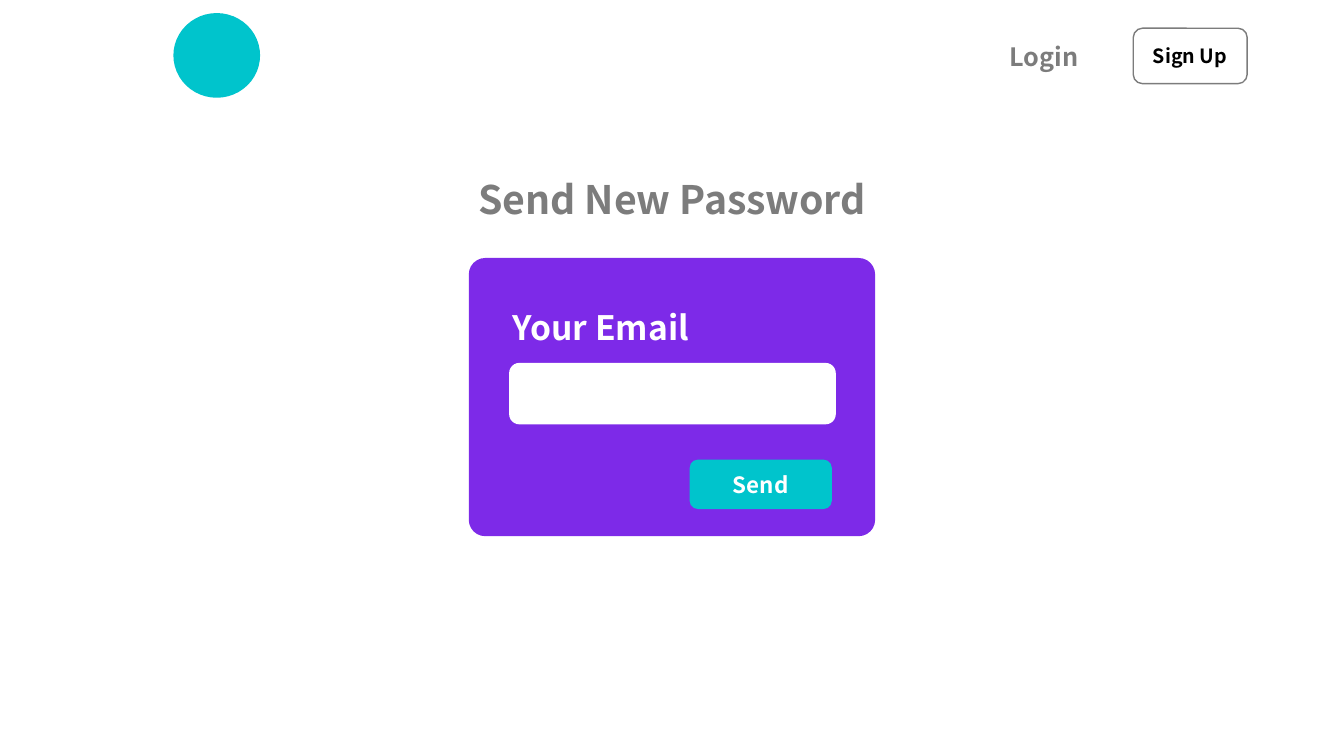
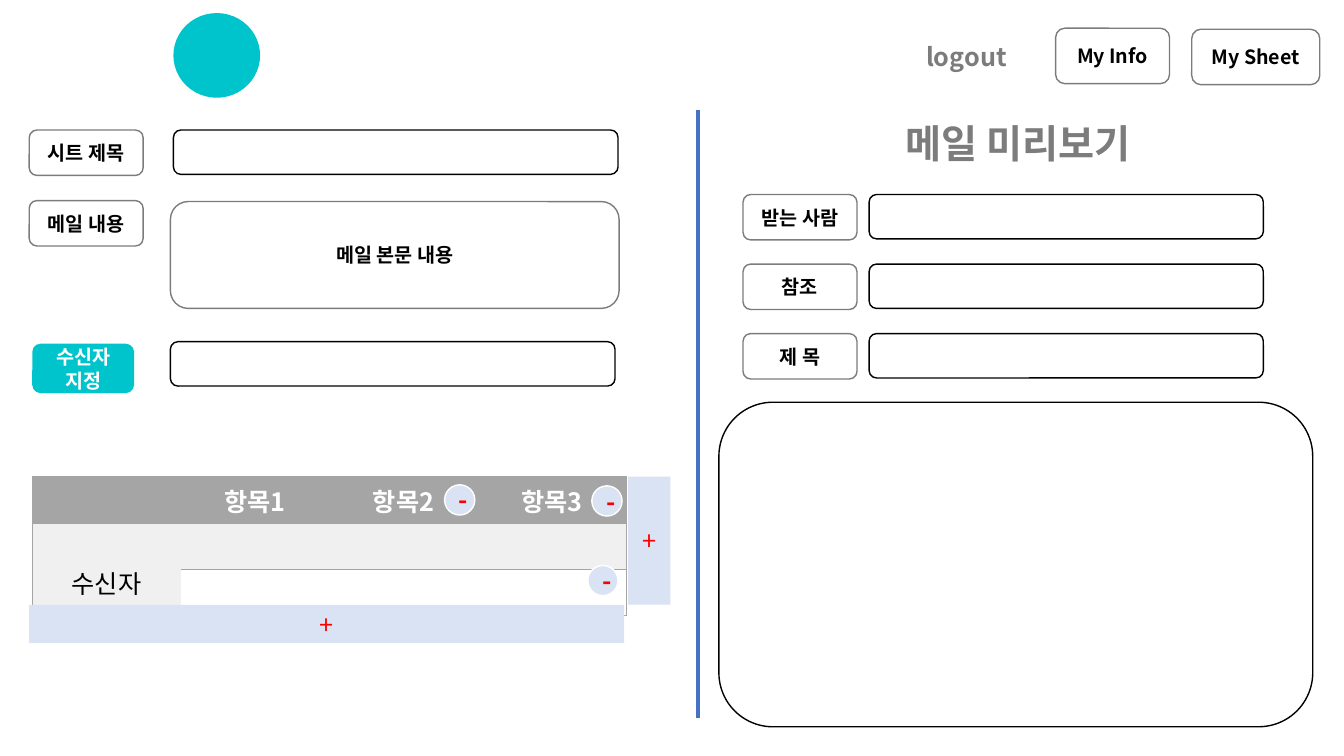
import pptx
import pptx.util
import pptx.dml.color
import pptx.enum.shapes
import pptx.enum.text
import pptx.oxml.ns
import lxml.etree

Inches = pptx.util.Inches
Pt = pptx.util.Pt
SHAPE = pptx.enum.shapes.MSO_SHAPE
MIDDLE = pptx.enum.text.MSO_ANCHOR.MIDDLE
CENTER = pptx.enum.text.PP_ALIGN.CENTER
qn = pptx.oxml.ns.qn

COLORS = {
    "teal": "00C4CC", "purple": "7D2AE8", "gray": "7C7C7C", "white": "FFFFFF",
    "black": "000000", "blue": "4472C4", "pale": "DAE3F3", "red": "FF0000",
    "head": "A5A5A5", "band": "F0F0F0",
}
FONT = "Noto Sans CJK KR"
ROUND = SHAPE.ROUNDED_RECTANGLE


def rgb(name):
    """Return the named colour."""
    return pptx.dml.color.RGBColor.from_string(COLORS[name])


def write(tf, text, size, color, bold=True):
    """Put one centred run into a text frame."""
    p = tf.paragraphs[0]
    p.alignment = CENTER
    r = p.add_run()
    r.text = text
    r.font.size = Pt(size)
    r.font.bold = bold
    r.font.color.rgb = rgb(color)
    r.font.name = FONT
    lxml.etree.SubElement(r.font._element, qn("a:ea"), typeface=FONT)


def add_box(s, kind, box, fill, line=None):
    """Add a flat shape, outlined when a line colour is given."""
    sp = s.shapes.add_shape(kind, *map(Inches, box))
    sp.shadow.inherit = False
    sp.fill.solid()
    sp.fill.fore_color.rgb = rgb(fill)
    if line:
        sp.line.color.rgb = rgb(line)
        sp.line.width = Pt(1)
    else:
        sp.line.fill.background()
    sp.text_frame.vertical_anchor = MIDDLE
    return sp


def add_label(s, box, text, size, color):
    """Add a bold centred line of free text."""
    tf = s.shapes.add_textbox(*map(Inches, box)).text_frame
    tf.word_wrap = True
    tf.vertical_anchor = MIDDLE
    write(tf, text, size, color)


def add_title(s, left, top, text):
    """Add the heading of a page or panel."""
    add_label(s, (left, top, 4.95, 0.63), text, 28, "gray")


def add_button(s, box, text):
    """Add a white button with a gray outline."""
    sp = add_box(s, ROUND, box, "white", "gray")
    write(sp.text_frame, text, 14, "black")


def add_action(s, box, text, size):
    """Add a teal action button."""
    sp = add_box(s, ROUND, box, "teal")
    write(sp.text_frame, text, size, "white")


def add_field(s, box):
    """Add an empty input field."""
    add_box(s, ROUND, box, "white", "black")


def add_tag(s, left, top, text):
    """Add the button that names a field."""
    add_button(s, (left, top, 1.13, 0.45), text)


def add_header(s, link_left, link, buttons):
    """Add the plain disc, the text link and the buttons of the top bar."""
    add_box(s, SHAPE.OVAL, (1.72, 0.13, 0.86, 0.84), "teal")
    add_label(s, (link_left, 0.25, 1.31, 0.63), link, 18, "gray")
    for left, top, width, text in buttons:
        add_button(s, (left, top, width, 0.55), text)


def add_email_card(s, box):
    """Add the purple card that asks for an email address."""
    x, y, w, h = box
    card = add_box(s, ROUND, box, "purple")
    card.adjustments[0] = 0.059
    add_box(s, ROUND, (x + 0.4, y + 1.04, w - 0.79, 0.61), "white")
    add_label(s, (x - 0.16, y + 0.37, 2.94, 0.63), "Your Email", 24, "white")
    add_action(s, (x + 2.19, y + 2, 1.41, 0.49), "Send", 16)


def add_sheet_form(s, x, y):
    """Add the fields for the sheet title, mail body and recipients."""
    add_tag(s, x, y, "시트 제목")
    add_field(s, (x + 1.43, y, 4.41, 0.44))
    add_tag(s, x, y + 0.7, "메일 내용")
    add_button(s, (x + 1.4, y + 0.71, 4.45, 1.06), "메일 본문 내용")
    add_action(s, (x + 0.03, y + 2.12, 1.01, 0.49), "수신자 지정", 14)
    add_field(s, (x + 1.4, y + 2.1, 4.41, 0.44))


def style_cell(cell, fill, sides):
    """Give a cell its borders and then its fill."""
    tcPr = cell._tc.get_or_add_tcPr()
    for side in sides:
        ln = lxml.etree.SubElement(tcPr, qn("a:ln" + side), w=str(Pt(1)))
        solid = lxml.etree.SubElement(ln, qn("a:solidFill"))
        lxml.etree.SubElement(solid, qn("a:srgbClr"), val=COLORS["head"])
    cell.fill.solid()
    cell.fill.fore_color.rgb = rgb(fill)


def add_recipient_table(s, box):
    """Add the recipient table with its plus bars and minus buttons."""
    x, y, w, h = box
    rows, cols = 3, 4
    row_h = 0.46
    frame = s.shapes.add_table(rows, cols, Inches(x), Inches(y),
                               Inches(w), Inches(row_h * rows))
    table = frame.table
    no_grid = "{2D5ABB26-0587-4C30-8999-92F81FD0307C}"
    table._tbl.tblPr.find(qn("a:tableStyleId")).text = no_grid
    for row, fill in enumerate(("head", "band", "white")):
        table.rows[row].height = Inches(row_h)
        for col in range(cols):
            sides = ["T", "B"]
            if col == 0:
                sides.insert(0, "L")
            if col == cols - 1:
                sides.insert(0, "R")
            cell = table.cell(row, col)
            style_cell(cell, "band" if row and col == 0 else fill, sides)
            if row == 0 and col:
                write(cell.text_frame, f"항목{col}", 18, "white")
    name = table.cell(1, 0)
    name.merge(table.cell(2, 0))
    name.margin_top = Inches(0.41)
    write(name.text_frame, "수신자", 18, "black", False)

    for bar in ((x - 0.03, y + h, w + 0.01, 0.38), (x + w + 0.02, y, 0.42, h)):
        sp = add_box(s, SHAPE.RECTANGLE, bar, "pale")
        write(sp.text_frame, "+", 18, "red", False)
    for dx, dy in ((5.55, 0.09), (4.09, 0.08), (5.51, 0.88)):
        sp = add_box(s, SHAPE.OVAL, (x + dx, y + dy, 0.3, 0.3), "pale", "white")
        write(sp.text_frame, "-", 18, "red")


def add_preview(s, x, y):
    """Add the mail preview: title, three named fields and the body."""
    add_title(s, x + 0.49, y, "메일 미리보기")
    for i, text in enumerate(("받는 사람", "참조", "제 목")):
        top = y + 0.83 + i * 0.69
        add_field(s, (x + 1.49, top, 3.91, 0.44))
        add_tag(s, x + 0.24, top, text)
    add_field(s, (x, y + 2.89, 5.89, 3.22))


def add_divider(s, x, top, bottom):
    """Add the vertical rule between the two panels."""
    line = s.shapes.add_connector(pptx.enum.shapes.MSO_CONNECTOR.STRAIGHT,
                                  Inches(x), Inches(top), Inches(x), Inches(bottom))
    line.line.color.rgb = rgb("blue")
    line.line.width = Pt(3)
    lxml.etree.SubElement(line._element.spPr, qn("a:effectLst"))


def password_slide(s):
    """Build the page that sends a new password."""
    add_header(s, 9.7, "Login", [(11.24, 0.28, 1.13, "Sign Up")])
    add_email_card(s, (4.65, 2.56, 4.03, 2.76))
    add_title(s, 4.19, 1.66, "Send New Password")


def sheet_slide(s):
    """Build the page that edits a sheet beside its mail preview."""
    add_header(s, 8.93, "logout", [(10.47, 0.28, 1.13, "My Info"),
                                   (11.82, 0.29, 1.27, "My Sheet")])
    add_divider(s, 6.92, 1.09, 7.12)
    add_preview(s, 7.13, 1.1)
    add_recipient_table(s, (0.32, 4.73, 5.89, 1.27))
    add_sheet_form(s, 0.29, 1.29)


prs = pptx.Presentation()
prs.slide_width = Inches(13.33)
prs.slide_height = Inches(7.5)
for build in (password_slide, sheet_slide):
    build(prs.slides.add_slide(prs.slide_layouts[6]))
prs.save("out.pptx")
